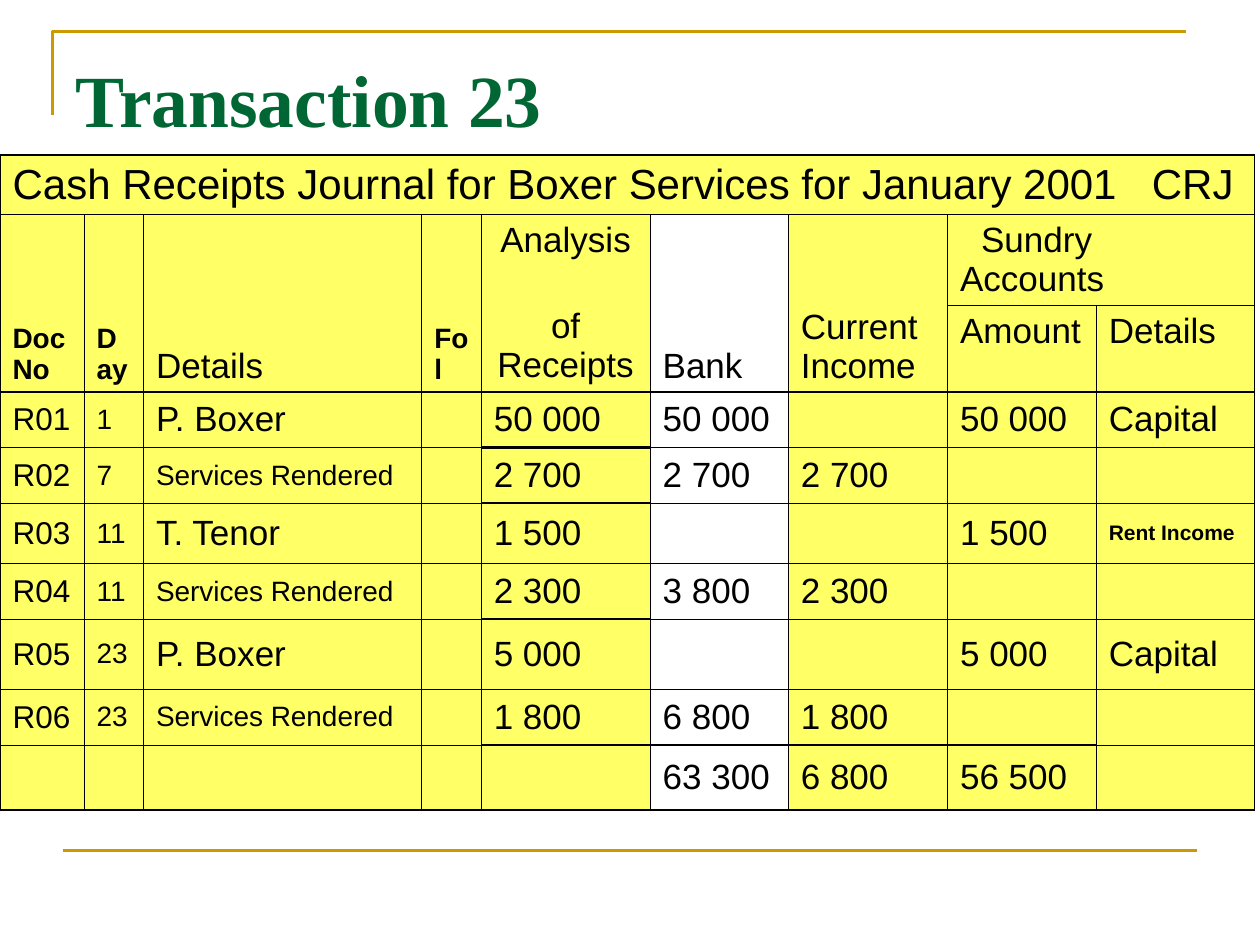
"""Build the Transaction 23 slide with its cash receipts journal."""
from lxml.etree import SubElement
from pptx import Presentation
from pptx.dml.color import RGBColor
from pptx.enum.shapes import MSO_CONNECTOR
from pptx.enum.text import MSO_ANCHOR, PP_ALIGN
from pptx.oxml.ns import qn
from pptx.util import Pt


def color(value):
    return RGBColor.from_string(value)


def add_border(cell, side, width):
    line = SubElement(cell._tc.get_or_add_tcPr(), qn(f"a:{side}"), w=str(Pt(width)))
    fill = SubElement(line, qn("a:solidFill"))
    SubElement(fill, qn("a:srgbClr"), val="000000")


GOLD, YELLOW, WHITE = "CC9900", "FFFF66", "FFFFFF"
THIN, OUTER, HEAVY = 0.45, 1.08, 1.47

deck = Presentation()
deck.slide_width, deck.slide_height = Pt(720), Pt(540)
page = deck.slides.add_slide(deck.slide_layouts[5])

builder = page.shapes.build_freeform(Pt(30), Pt(66), scale=1.0)
builder.add_line_segments([(Pt(30), Pt(18)), (Pt(678), Pt(18))], close=False)
corner = builder.convert_to_shape()
corner.shadow.inherit = False
corner.fill.background()
rule = page.shapes.add_connector(MSO_CONNECTOR.STRAIGHT, Pt(36), Pt(486), Pt(684), Pt(486))
SubElement(rule._element.spPr, qn("a:effectLst"))
for shape in (corner, rule):
    shape.line.color.rgb = color(GOLD)
    shape.line.width = Pt(1.5)

title = page.shapes.title
title.left, title.top, title.width, title.height = Pt(36), Pt(21.6), Pt(648), Pt(90)
title.text_frame.text = "Transaction 23"
title.text_frame.vertical_anchor = MSO_ANCHOR.TOP
title.text_frame.margin_top = Pt(9)
heading = title.text_frame.paragraphs[0]
heading.alignment = PP_ALIGN.LEFT
heading.font.name, heading.font.size, heading.font.bold = "Times New Roman", Pt(42), True
heading.font.color.rgb = color("006633")

rows = [
    ["Cash Receipts Journal for Boxer Services for January 2001\tCRJ"] + [""] * 8,
    ["Doc No", "Day", "Details", "Fol", "Analysis\nof Receipts", "Bank", "Current Income",
     "Sundry Accounts", ""],
    [""] * 7 + ["Amount", "Details"],
    ["R01", "1", "P. Boxer", "", "50 000", "50 000", "", "50 000", "Capital"],
    ["R02", "7", "Services Rendered", "", "2 700", "2 700", "2 700", "", ""],
    ["R03", "11", "T. Tenor", "", "1 500", "", "", "1 500", "Rent Income"],
    ["R04", "11", "Services Rendered", "", "2 300", "3 800", "2 300", "", ""],
    ["R05", "23", "P. Boxer", "", "5 000", "", "", "5 000", "Capital"],
    ["R06", "23", "Services Rendered", "", "1 800", "6 800", "1 800", "", ""],
    ["", "", "", "", "", "63 300", "6 800", "56 500", ""],
]
widths = [48, 34, 159, 34, 96.5, 79, 91, 85, 90.5]
heights = [34, 52, 49.5, 31.7, 32, 34.3, 32, 40, 32, 37]
last_row, last_column = len(rows) - 1, len(widths) - 1
special_sizes = {"Doc No": 16, "Day": 16, "Fol": 16, "Services Rendered": 16, "Rent Income": 12}
bold_texts = {"Doc No", "Day", "Fol", "Rent Income"}
heavy_columns = {2: range(9), 3: [4], 4: [4], 6: [4], 8: range(4, 8), 9: range(5, 8)}

frame = page.shapes.add_table(len(rows), len(widths), Pt(0), Pt(88.5),
                              Pt(sum(widths)), Pt(sum(heights)))
journal = frame.table
journal.first_row = journal.horz_banding = False
for column, width in zip(journal.columns, widths):
    column.width = Pt(width)
for row, height in zip(journal.rows, heights):
    row.height = Pt(height)
journal.cell(0, 0).merge(journal.cell(0, last_column))
journal.cell(1, 7).merge(journal.cell(1, 8))
for c in range(7):
    journal.cell(1, c).merge(journal.cell(2, c))

for r, texts in enumerate(rows):
    for c, text in enumerate(texts):
        cell = journal.cell(r, c)
        bottom = r + (cell.span_height if cell.is_merge_origin else 1) - 1
        right = c + (cell.span_width if cell.is_merge_origin else 1) - 1
        edge = OUTER if bottom == last_row else THIN
        add_border(cell, "lnL", OUTER if c == 0 else THIN)
        add_border(cell, "lnR", OUTER if right == last_column else THIN)
        add_border(cell, "lnT", OUTER if r == 0 else
                   HEAVY if c in heavy_columns.get(r - 1, []) else THIN)
        add_border(cell, "lnB", HEAVY if c in heavy_columns.get(bottom, []) else edge)
        cell.fill.solid()
        cell.fill.fore_color.rgb = color(WHITE if c == 5 and r > 0 else YELLOW)
        if r > 2:
            cell.vertical_anchor = MSO_ANCHOR.MIDDLE
        elif r == 1 and c < 7 and c != 4:
            cell.vertical_anchor = MSO_ANCHOR.BOTTOM
        if not text:
            continue
        cell.text = text
        column_size = {0: 18, 1: 16}.get(c, 20)
        size = 24 if r == 0 else special_sizes.get(text, column_size)
        for index, para in enumerate(cell.text_frame.paragraphs):
            properties = para._p.get_or_add_pPr()
            if r == 0:
                stops = SubElement(properties, qn("a:tabLst"))
                SubElement(stops, qn("a:tab"), pos=str(Pt(651)), algn="l")
            if text == "Sundry Accounts":
                properties.set("marL", "0")
                properties.set("indent", str(Pt(12)))
            if (r, c) == (1, 4):
                para.alignment = PP_ALIGN.CENTER
            if index:
                para.space_before = Pt(27)
            para.font.name, para.font.size = "Arial", Pt(size)
            para.font.bold = text in bold_texts
            para.font.color.rgb = color("000000")

deck.save("out.pptx")
